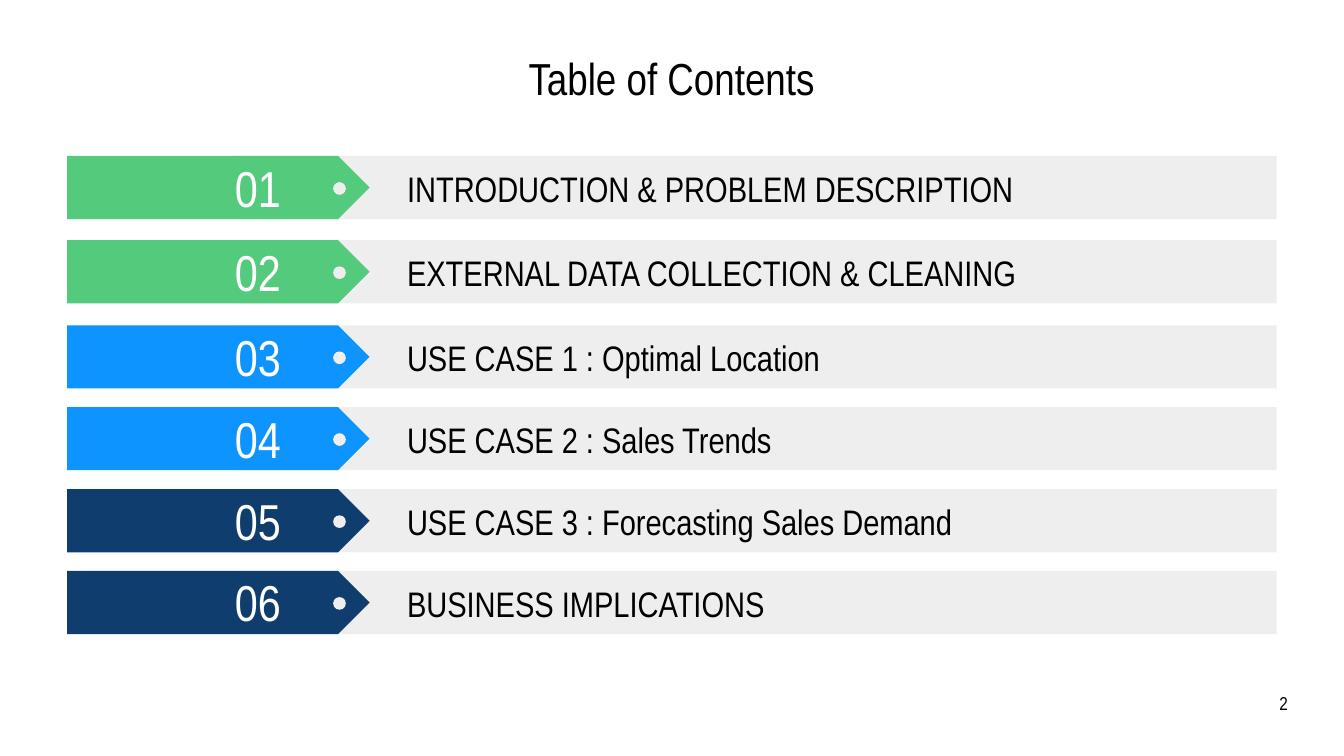
import pptx
import pptx.dml.color
import pptx.enum.shapes
import pptx.enum.text
import pptx.util

Pt = pptx.util.Pt
Shape = pptx.enum.shapes.MSO_SHAPE
Anchor = pptx.enum.text.MSO_ANCHOR
Align = pptx.enum.text.PP_ALIGN

COLORS = {
    "black": "000000",
    "white": "FFFFFF",
    "bar": "EEEEEE",
    "green": "54CA7C",
    "blue": "0E94FF",
    "navy": "0F3D6E",
}

LEFT, RIGHT = 36, 684
ROW_HEIGHT = 33.84
SECTIONS = [
    (83.6, "green", "INTRODUCTION & PROBLEM DESCRIPTION"),
    (128.7, "green", "EXTERNAL DATA COLLECTION & CLEANING"),
    (174.3, "blue", "USE CASE 1 : Optimal Location"),
    (218.1, "blue", "USE CASE 2 : Sales Trends"),
    (262.1, "navy", "USE CASE 3 : Forecasting Sales Demand"),
    (305.9, "navy", "BUSINESS IMPLICATIONS"),
]


def color(name):
    return pptx.dml.color.RGBColor.from_string(COLORS[name])


def write(shape, text, size, font="Arial Narrow", fill="black",
          align=Align.LEFT, anchor=Anchor.MIDDLE, inset=7.2):
    frame = shape.text_frame
    frame.word_wrap = True
    frame.auto_size = pptx.enum.text.MSO_AUTO_SIZE.NONE
    frame.vertical_anchor = anchor
    frame.margin_left = frame.margin_right = Pt(7.2)
    frame.margin_top = frame.margin_bottom = Pt(inset)
    paragraph = frame.paragraphs[0]
    paragraph.alignment = align
    run = paragraph.add_run()
    run.text = text
    run.font.name = font
    run.font.size = Pt(size)
    run.font.color.rgb = color(fill)


class ContentsSlide:
    def __init__(self, presentation):
        self.slide = presentation.slides.add_slide(presentation.slide_layouts[5])

    def title(self, text, left, top, width, height):
        shape = self.slide.shapes.title
        shape.left, shape.top = Pt(left), Pt(top)
        shape.width, shape.height = Pt(width), Pt(height)
        write(shape, text, 24, align=Align.CENTER, anchor=Anchor.BOTTOM)

    def shape(self, kind, left, top, width, height, fill):
        shape = self.slide.shapes.add_shape(
            kind, Pt(left), Pt(top), Pt(width), Pt(height))
        shape.shadow.inherit = False
        shape.fill.solid()
        shape.fill.fore_color.rgb = color(fill)
        shape.line.fill.background()

    def text(self, text, left, top, width, height, size, **style):
        box = self.slide.shapes.add_textbox(
            Pt(left), Pt(top), Pt(width), Pt(height))
        write(box, text, size, **style)

    def section(self, number, top, fill, heading):
        self.shape(Shape.RECTANGLE, 128, top, RIGHT - 128, ROW_HEIGHT, "bar")
        self.shape(Shape.PENTAGON, LEFT, top, 162, ROW_HEIGHT, fill)
        self.text(heading, 211, top + 0.4, 343.4, ROW_HEIGHT, 19, inset=3.6)
        self.text(f"{number:02d}", 107.2, top + 1.4, 62, 30.2, 27,
                  fill="white", align=Align.CENTER)
        self.shape(Shape.OVAL, 178.5, top + 14, 6.8, 6.8, "bar")


def main():
    presentation = pptx.Presentation()
    presentation.slide_width = Pt(720)
    presentation.slide_height = Pt(405)
    contents = ContentsSlide(presentation)
    contents.title("Table of Contents", 201, 32.4, 317.5, 31)
    for number, (top, fill, heading) in enumerate(SECTIONS, start=1):
        contents.section(number, top, fill, heading)
    contents.text("2", 653.8, 361.4, 43.2, 31, 10, align=Align.RIGHT)
    presentation.save("out.pptx")


if __name__ == "__main__":
    main()
